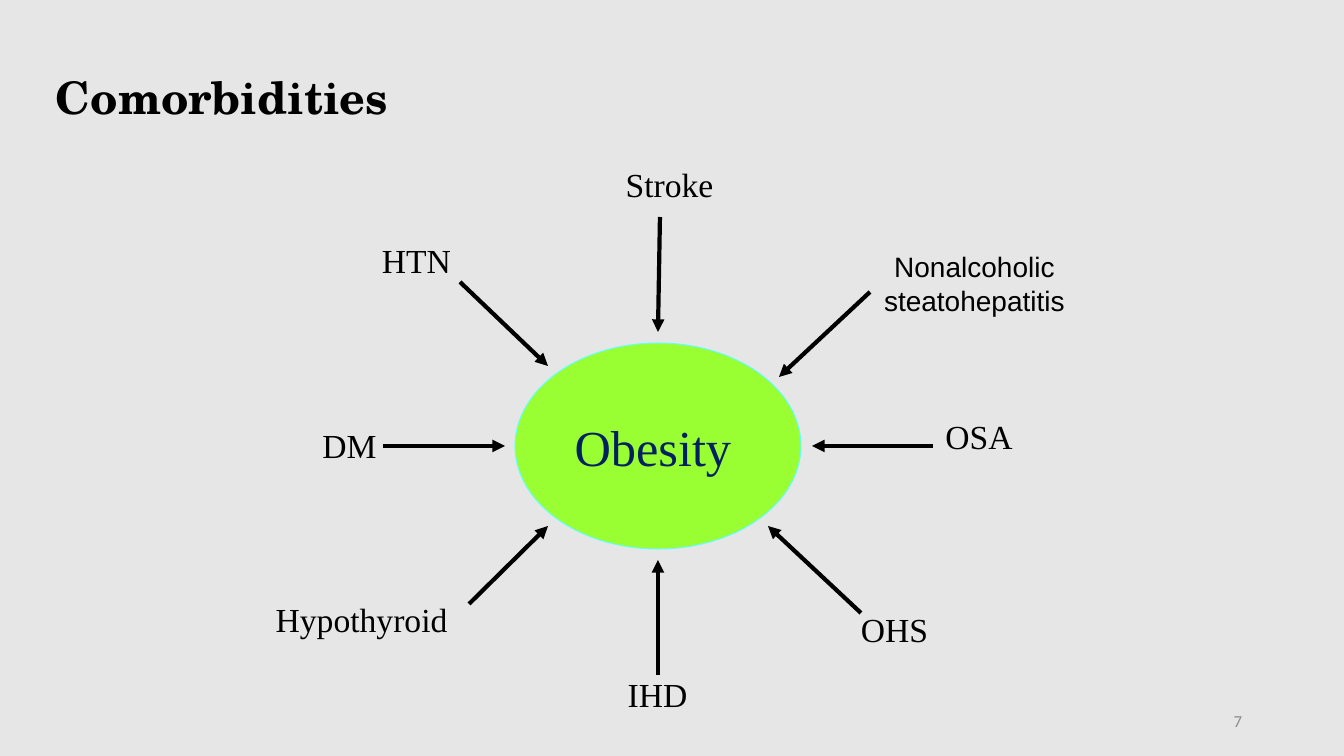
from dataclasses import dataclass
from typing import NamedTuple

from lxml.etree import SubElement
from pptx import Presentation
from pptx.dml.color import RGBColor
from pptx.enum.shapes import MSO_CONNECTOR, MSO_SHAPE
from pptx.enum.text import MSO_ANCHOR as Anchor, PP_ALIGN as Align
from pptx.oxml.ns import qn
from pptx.util import Emu, Pt

EMU_PER_PX = 9144000 / 1008


class Box(NamedTuple):
    left: int
    top: int
    width: int
    height: int


class Point(NamedTuple):
    x: int
    y: int


@dataclass(frozen=True)
class TextStyle:
    font: str
    size: int
    color: str
    bold: bool = False


@dataclass(frozen=True)
class Theme:
    background: str = "E7E6E6"
    hub_fill: str = "99FF33"
    hub_line: str = "66FFFF"
    arrow: str = "000000"
    title: TextStyle = TextStyle("TeX Gyre Schola", 32, "000000", True)
    hub: TextStyle = TextStyle("Times New Roman", 36, "002060")
    label: TextStyle = TextStyle("Times New Roman", 24, "000000")
    long_label: TextStyle = TextStyle("Arial", 20, "000000")
    number: TextStyle = TextStyle("Calibri", 12, "8C8C8C")


THEME = Theme()


@dataclass(frozen=True)
class Comorbidity:
    name: str
    box: Box
    start: Point
    end: Point
    anchor: Anchor = Anchor.TOP
    style: TextStyle = THEME.label


HUB = Box(515, 343, 286, 206)
COMORBIDITIES = [
    Comorbidity("Stroke", Box(593, 159, 153, 50), Point(660, 217), Point(658, 332)),
    Comorbidity("Nonalcoholic steatohepatitis", Box(832, 245, 285, 78),
                Point(870, 292), Point(779, 377), style=THEME.long_label),
    Comorbidity("OSA", Box(908, 411, 142, 51), Point(933, 446), Point(812, 446)),
    Comorbidity("OHS", Box(823, 604, 143, 50), Point(861, 613), Point(768, 526)),
    Comorbidity("IHD", Box(597, 669, 121, 50), Point(658, 675), Point(658, 560)),
    Comorbidity("Hypothyroid", Box(235, 585, 253, 69),
                Point(469, 604), Point(548, 526), Anchor.MIDDLE),
    Comorbidity("DM", Box(278, 411, 143, 69),
                Point(383, 446), Point(505, 446), Anchor.MIDDLE),
    Comorbidity("HTN", Box(345, 235, 143, 50), Point(460, 282), Point(548, 366)),
]


def px(length: int) -> Emu:
    return Emu(round(length * EMU_PER_PX))


def rgb(color: str) -> RGBColor:
    return RGBColor.from_string(color)


def write_text(shape, text: str, style: TextStyle, align: Align, anchor: Anchor):
    """Fill the shape with one styled paragraph and return that paragraph."""
    frame = shape.text_frame
    frame.word_wrap = True
    frame.vertical_anchor = anchor
    para = frame.paragraphs[0]
    para.text = text
    para.alignment = align
    para.font.name = style.font
    para.font.size = Pt(style.size)
    para.font.bold = style.bold
    para.font.color.rgb = rgb(style.color)
    return para


def add_text(page, box: Box, text: str, style: TextStyle,
             align: Align = Align.CENTER, anchor: Anchor = Anchor.MIDDLE):
    shape = page.shapes.add_textbox(*map(px, box))
    return write_text(shape, text, style, align, anchor)


def add_hub(page) -> None:
    hub = page.shapes.add_shape(MSO_SHAPE.OVAL, *map(px, HUB))
    hub.shadow.inherit = False
    hub.fill.solid()
    hub.fill.fore_color.rgb = rgb(THEME.hub_fill)
    hub.line.color.rgb = rgb(THEME.hub_line)
    hub.line.width = Pt(0.75)
    write_text(hub, "Obesity", THEME.hub, Align.CENTER, Anchor.MIDDLE)
    hub.text_frame.word_wrap = False
    hub.text_frame.margin_right = px(20)


def add_arrow(page, start: Point, end: Point) -> None:
    arrow = page.shapes.add_connector(MSO_CONNECTOR.STRAIGHT, *map(px, start + end))
    arrow.line.color.rgb = rgb(THEME.arrow)
    arrow.line.width = Pt(3)
    SubElement(arrow.line._get_or_add_ln(), qn("a:tailEnd"), type="triangle")
    SubElement(arrow._element.spPr, qn("a:effectLst"))


def main() -> None:
    deck = Presentation()
    deck.slide_width, deck.slide_height = px(1344), px(756)
    page = deck.slides.add_slide(deck.slide_layouts[6])
    page.background.fill.solid()
    page.background.fill.fore_color.rgb = rgb(THEME.background)

    add_hub(page)
    for item in COMORBIDITIES:
        add_text(page, item.box, item.name, item.style, anchor=item.anchor)
        add_arrow(page, item.start, item.end)

    title = add_text(page, Box(46, 37, 857, 109), "Comorbidities", THEME.title, Align.LEFT)
    title.line_spacing = 1.2
    add_text(page, Box(950, 701, 302, 40), "7", THEME.number, Align.RIGHT)
    deck.save("out.pptx")


if __name__ == "__main__":
    main()
